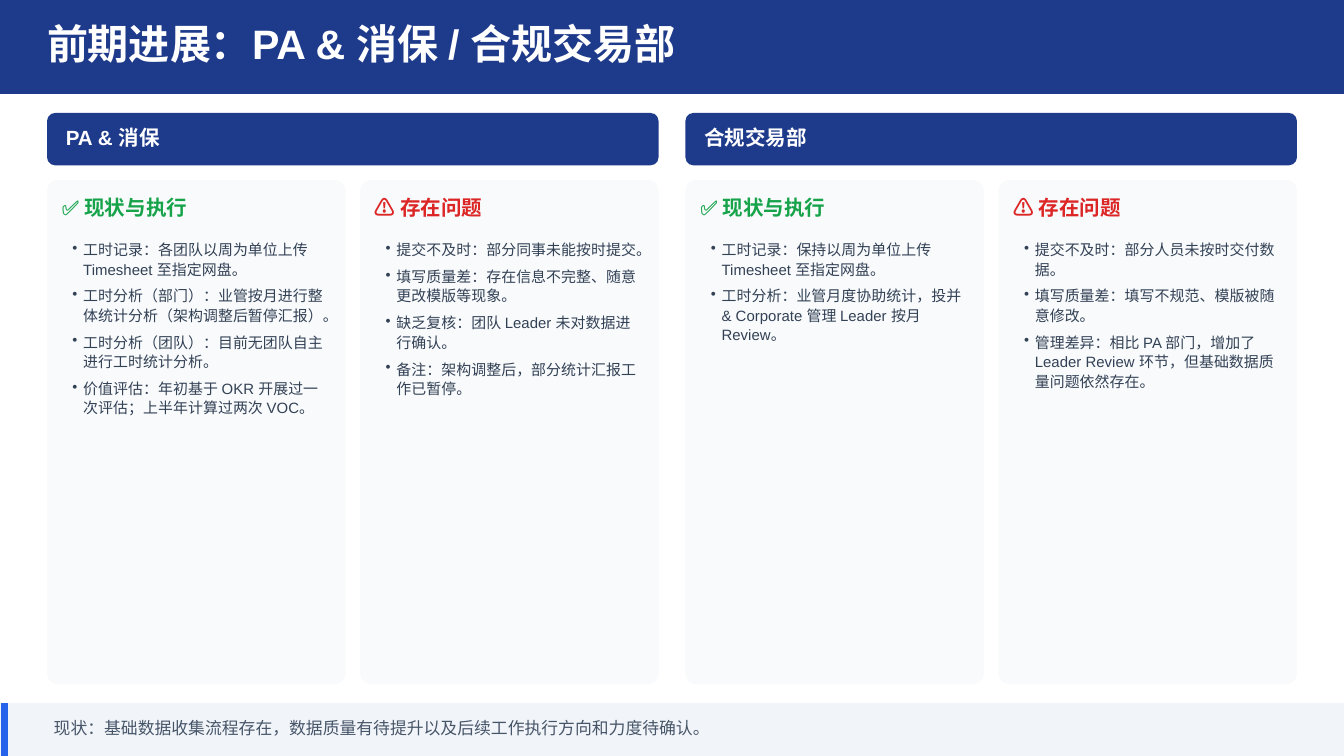
from dataclasses import dataclass

import pptx
import pptx.dml.color
import pptx.enum.shapes
import pptx.enum.text
import pptx.oxml.ns
import pptx.util
from lxml import etree
from pptx.util import Inches, Pt


@dataclass(frozen=True)
class Theme:
    font: str = "Arial"
    navy: str = "1E3A8A"
    white: str = "FFFFFF"
    card: str = "F8FAFC"
    footer: str = "F1F5F9"
    accent: str = "2563EB"
    good: str = "16A34A"
    bad: str = "DC2626"
    body: str = "334155"
    muted: str = "475569"
    title_size: float = 22
    heading_size: float = 11
    body_size: float = 8
    footer_size: float = 9


THEME = Theme()
SHAPES = pptx.enum.shapes.MSO_SHAPE
STATUS = ("✅ 现状与执行", THEME.good)
ISSUES = ("⚠️ 存在问题", THEME.bad)

DEPARTMENTS = [
    ("PA & 消保", [
        (STATUS, [
            "工时记录：各团队以周为单位上传 Timesheet 至指定网盘。",
            "工时分析（部门）：业管按月进行整体统计分析（架构调整后暂停汇报）。",
            "工时分析（团队）：目前无团队自主进行工时统计分析。",
            "价值评估：年初基于 OKR 开展过一次评估；上半年计算过两次 VOC。",
        ]),
        (ISSUES, [
            "提交不及时：部分同事未能按时提交。",
            "填写质量差：存在信息不完整、随意更改模版等现象。",
            "缺乏复核：团队 Leader 未对数据进行确认。",
            "备注：架构调整后，部分统计汇报工作已暂停。",
        ]),
    ]),
    ("合规交易部", [
        (STATUS, [
            "工时记录：保持以周为单位上传 Timesheet 至指定网盘。",
            "工时分析：业管月度协助统计，投并 & Corporate 管理 Leader 按月 Review。",
        ]),
        (ISSUES, [
            "提交不及时：部分人员未按时交付数据。",
            "填写质量差：填写不规范、模版被随意修改。",
            "管理差异：相比 PA 部门，增加了 Leader Review 环节，但基础数据质量问题依然存在。",
        ]),
    ]),
]


def rgb(value):
    return pptx.dml.color.RGBColor.from_string(value)


def add_panel(page, left, top, width, height, color, radius=0):
    """Add a borderless filled box; a radius in inches rounds its corners."""
    kind = SHAPES.ROUNDED_RECTANGLE if radius else SHAPES.RECTANGLE
    panel = page.shapes.add_shape(
        kind, Inches(left), Inches(top), Inches(width), Inches(height))
    if radius:
        panel.adjustments[0] = radius / min(width, height)
    panel.shadow.inherit = False
    panel.fill.solid()
    panel.fill.fore_color.rgb = rgb(color)
    panel.line.fill.background()


def add_text_frame(page, left, top, width, height, inset=0):
    box = page.shapes.add_textbox(
        Inches(left), Inches(top), Inches(width), Inches(height))
    frame = box.text_frame
    frame.word_wrap = True
    frame.vertical_anchor = pptx.enum.text.MSO_ANCHOR.TOP
    frame.margin_left = Inches(inset)
    frame.margin_right = frame.margin_top = frame.margin_bottom = 0
    return frame


def add_span(para, text, size, color, bold=False):
    span = para.add_run()
    span.text = text
    span.font.name = THEME.font
    span.font.size = Pt(size)
    span.font.bold = bold
    span.font.color.rgb = rgb(color)


def add_label(page, left, top, width, height, text, size, color, bold=True):
    frame = add_text_frame(page, left, top, width, height)
    add_span(frame.paragraphs[0], text, size, color, bold)


def add_bullets(page, left, top, width, height, items):
    frame = add_text_frame(page, left, top, width, height, inset=0.08)
    for index, item in enumerate(items):
        para = frame.paragraphs[0] if index == 0 else frame.add_paragraph()
        para.line_spacing = Pt(10.4)
        para.space_after = Pt(4)
        add_span(para, item, THEME.body_size, THEME.body)
        properties = para._p.get_or_add_pPr()
        properties.set("marL", str(Inches(0.08)))
        properties.set("indent", str(-Inches(0.08)))
        bullet = etree.SubElement(properties, pptx.oxml.ns.qn("a:buChar"))
        bullet.set("char", "•")


def add_title_bar(page, left, top, width, height):
    add_panel(page, left, top, width, height, THEME.navy)
    add_label(page, left + 0.35, top + 0.14, width - 0.51, 0.43,
              "前期进展：PA & 消保 / 合规交易部", THEME.title_size, THEME.white)


def add_card(page, left, top, width, height, heading, items):
    text, color = heading
    add_panel(page, left, top, width, height, THEME.card, radius=0.08)
    add_label(page, left + 0.11, top + 0.11, width - 0.18, 0.25,
              text, THEME.heading_size, color)
    add_bullets(page, left + 0.11, top + 0.44, width - 0.22, height - 0.54, items)


def add_department(page, left, top, width, height, name, cards):
    """Add a department banner with its cards side by side below."""
    add_panel(page, left, top, width, 0.39, THEME.navy, radius=0.06)
    add_label(page, left + 0.14, top + 0.09, width - 0.19, 0.22,
              name, THEME.heading_size, THEME.white)
    gap = 0.11
    card_width = (width - gap * (len(cards) - 1)) / len(cards)
    for index, (heading, items) in enumerate(cards):
        add_card(page, left + index * (card_width + gap), top + 0.5,
                 card_width, height - 0.5, heading, items)


def add_footer(page, left, top, width, height):
    add_panel(page, left, top, width, height, THEME.footer)
    x = Inches(left + 0.03)
    stripe = page.shapes.add_connector(
        pptx.enum.shapes.MSO_CONNECTOR.STRAIGHT,
        x, Inches(top), x, Inches(top + height))
    stripe.line.color.rgb = rgb(THEME.accent)
    stripe.line.width = Pt(3.75)
    etree.SubElement(stripe._element.spPr, pptx.oxml.ns.qn("a:effectLst"))
    add_label(page, left + 0.4, top + 0.11, width - 0.56, 0.18,
              "现状：基础数据收集流程存在，数据质量有待提升以及后续工作执行方向和力度待确认。",
              THEME.footer_size, THEME.muted, bold=False)


def main():
    deck = pptx.Presentation()
    deck.slide_width = Inches(10)
    deck.slide_height = Inches(10) * 9 // 16
    page = deck.slides.add_slide(deck.slide_layouts[6])
    page.background.fill.solid()
    page.background.fill.fore_color.rgb = rgb(THEME.white)

    add_title_bar(page, 0, 0, 10, 0.7)
    margin, gap = 0.35, 0.2
    width = (10 - 2 * margin - gap) / 2
    for index, (name, cards) in enumerate(DEPARTMENTS):
        add_department(page, margin + index * (width + gap), 0.84,
                       width, 4.25, name, cards)
    add_footer(page, 0, 5.23, 10, 0.4)
    deck.save("out.pptx")


if __name__ == "__main__":
    main()
